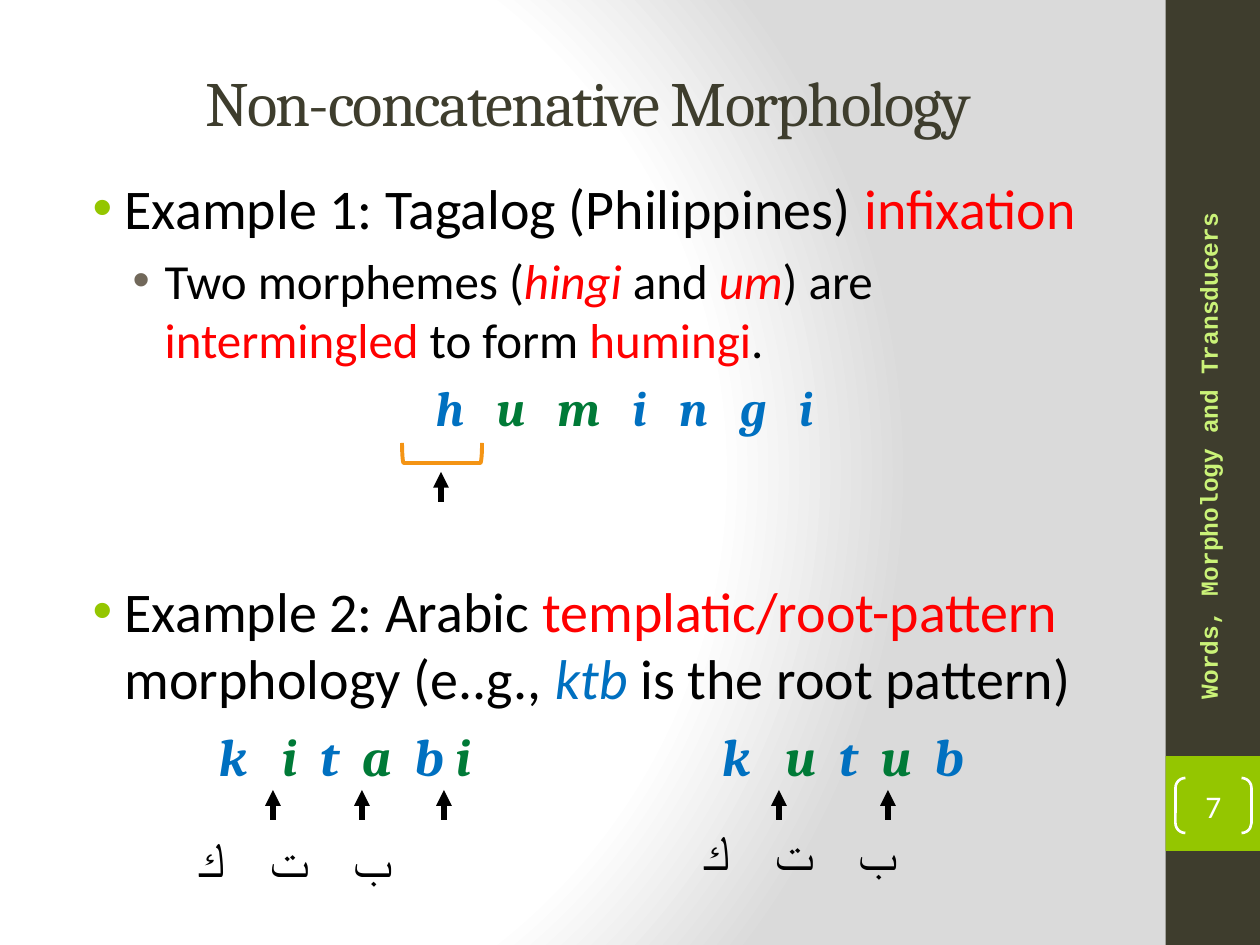
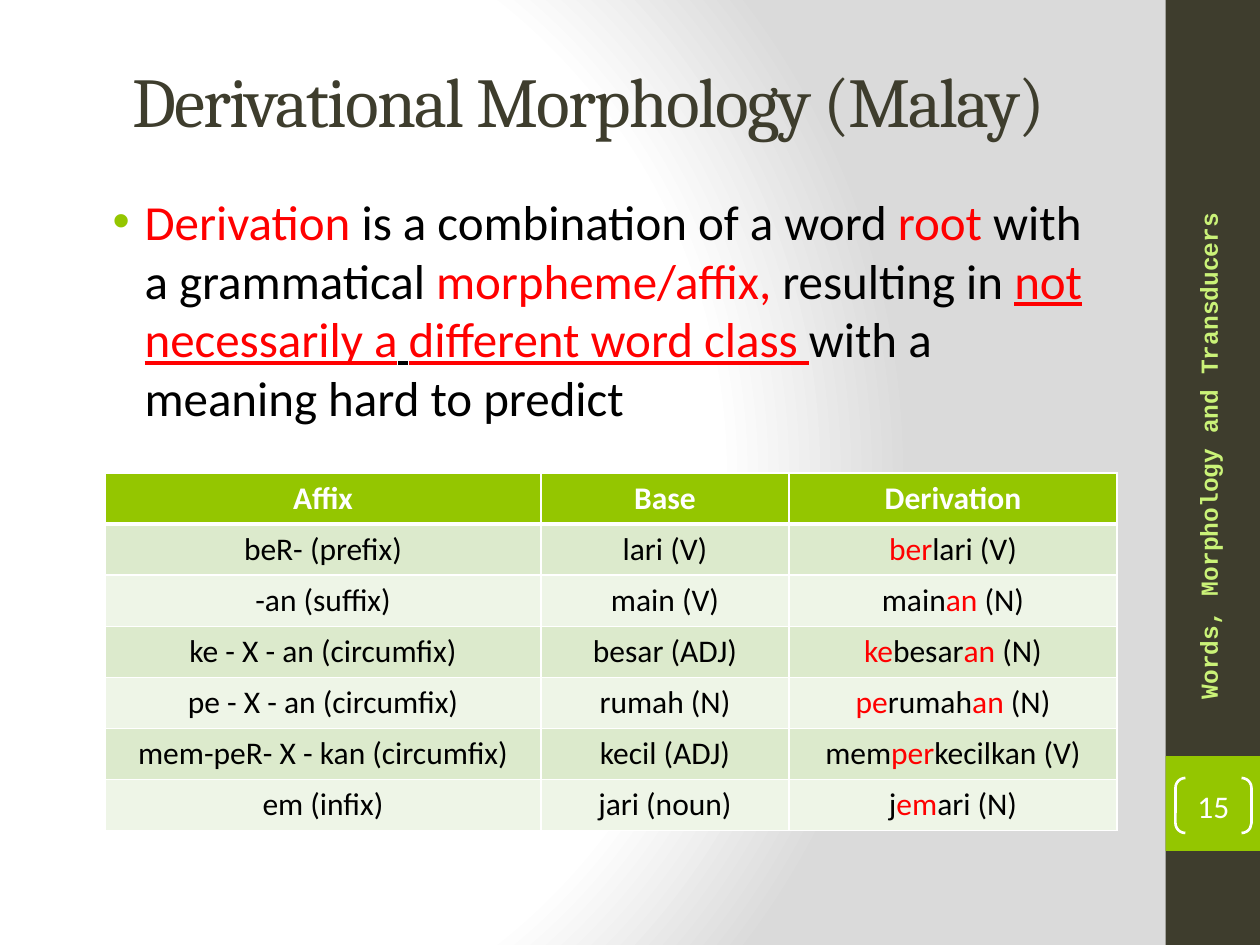
import pptx
import pptx.util
import pptx.dml.color
import pptx.enum.shapes
import pptx.enum.text
import pptx.oxml
import pptx.oxml.ns

RGB = pptx.dml.color.RGBColor
SHAPE = pptx.enum.shapes.MSO_SHAPE
ALIGN = pptx.enum.text.PP_ALIGN
ANCHOR = pptx.enum.text.MSO_ANCHOR
Pt = pptx.util.Pt
NS = pptx.oxml.ns.nsdecls("a")

DARK = RGB(0x3E, 0x3D, 0x2D)
LIME = RGB(0x94, 0xC6, 0x00)
PALE = RGB(0xCA, 0xF2, 0x78)
TAUPE = RGB(0x71, 0x68, 0x5A)
AMBER = RGB(0xF4, 0x94, 0x14)
WHITE = RGB(0xFF, 0xFF, 0xFF)
GREY = RGB(0xDA, 0xDA, 0xDA)
BLACK = RGB(0, 0, 0)
RED = RGB(0xFF, 0, 0)
BLUE = RGB(0, 0x70, 0xC0)
GREEN = RGB(0, 0x7A, 0x37)
ODD = RGB(0xDC, 0xEA, 0xCC)
EVEN = RGB(0xEE, 0xF5, 0xE7)

HEAD = {"name": "Cambria"}
BODY = {"name": "Calibri"}
LETTER = {"name": "Cambria", "bold": True, "italic": True}
SIDE = {"name": "Courier New", "bold": True}
ITALIC = {"italic": True}
LINED = {"underline": True}


def px(n):
    return round(n * 914400 / 126)


def apply(item, form):
    for key, value in form.items():
        setattr(item, key, value)


def place(shape, box):
    apply(shape, dict(zip(("left", "top", "width", "height"), map(px, box))))


def write(par, size, form, runs, gap=None):
    """Add runs of (text, colour, extra format); gap is letter spacing in points."""
    for text, colour, *extra in runs:
        run = par.add_run()
        run.text = text
        apply(run.font, {"size": Pt(size), **form, **(extra[0] if extra else {})})
        run.font.color.rgb = colour
        if gap:
            run.font._element.set("spc", str(round(gap * 100)))


def add_xml(parent, text):
    parent.append(pptx.oxml.parse_xml(text))


def solid(colour):
    return f'<a:solidFill><a:srgbClr val="{colour}"/></a:solidFill>'


# Paragraphs of the body
def indent(par, left, hang, before):
    par.space_before = Pt(before)
    props = par._p.get_or_add_pPr()
    props.set("marL", str(px(left)))
    props.set("indent", str(px(-hang)))
    return props


def bullet(par, size, runs, level=0, before=None):
    par.level = level
    left, colour = ((48, LIME), (88, TAUPE))[level]
    props = indent(par, left, 32, before or size * 0.2)
    add_xml(props, f'<a:buClr {NS}><a:srgbClr val="{colour}"/></a:buClr>')
    add_xml(props, f'<a:buFont {NS} typeface="Arial"/>')
    add_xml(props, f'<a:buChar {NS} char="•"/>')
    write(par, size, BODY, runs)


def letters(par, size, left, before, word, gaps):
    """Set (letter, colour) pairs, each followed by a space widened to gap spaces."""
    props = indent(par, left, 0, before)
    add_xml(props, f"<a:buNone {NS}/>")
    for (sign, colour), gap in zip(word, gaps):
        write(par, size, LETTER, [(sign, colour)])
        if gap:
            write(par, size, LETTER, [(" ", colour)], (gap - 1) * 0.22 * size)


# Parts of a slide
def shape(slide, kind, box, fill=None, line=None, width=1):
    item = slide.shapes.add_shape(kind, *map(px, box))
    item.shadow.inherit = False
    if fill is None:
        item.fill.background()
    else:
        item.fill.solid()
        item.fill.fore_color.rgb = fill
    if line is None:
        item.line.fill.background()
    else:
        item.line.color.rgb = line
        item.line.width = Pt(width)
    return item


def label(slide, box):
    item = slide.shapes.add_textbox(*map(px, box))
    item.text_frame.word_wrap = True
    return item


def arrow(slide, x, top, length=30):
    item = slide.shapes.add_connector(
        pptx.enum.shapes.MSO_CONNECTOR.STRAIGHT, px(x), px(top + length), px(x), px(top))
    item.line.color.rgb = BLACK
    item.line.width = Pt(3)
    add_xml(item.line._get_or_add_ln(), f'<a:tailEnd {NS} type="triangle"/>')
    add_xml(item._element.spPr, f"<a:effectLst {NS}/>")


def roots(slide, box):
    """Arabic root letters, held apart by wide spaces."""
    par = label(slide, box).text_frame.paragraphs[0]
    for i, sign in enumerate("بتك"):
        if i:
            write(par, 28, BODY, [(" ", BLACK)], 19)
        write(par, 28, BODY, [(sign, BLACK)])
    for run in par.runs:
        add_xml(run.font._element, f'<a:cs {NS} typeface="Calibri"/>')


def backdrop(master):
    """Shared background: a round gradient from white to grey."""
    master.background.fill.gradient()
    grad = master.element.find(".//" + pptx.oxml.ns.qn("a:gradFill"))
    for child in list(grad):
        grad.remove(child)
    stops = "".join(f'<a:gs pos="{pos * 1000}"><a:srgbClr val="{colour}"/></a:gs>'
                    for pos, colour in ((0, WHITE), (75, WHITE), (100, GREY)))
    add_xml(grad, f"<a:gsLst {NS}>{stops}</a:gsLst>")
    add_xml(grad, f'<a:path {NS} path="circle"><a:fillToRect l="20000" t="50000"'
                  ' r="100000" b="50000"/></a:path>')


def sidebar(slide, box, number):
    x, y, wide, high = box
    shape(slide, SHAPE.RECTANGLE, box, DARK)
    shape(slide, SHAPE.RECTANGLE, (x, y + 756, wide, 95), LIME)
    # Page number in brackets
    item = shape(slide, SHAPE.DOUBLE_BRACKET, (x + 10, y + 778, 76, 55), None, WHITE, 1.5)
    item.adjustments[0] = 0.18
    frame = item.text_frame
    apply(frame, {"margin_left": 0, "margin_right": 0, "margin_top": 0,
                  "margin_bottom": 0, "vertical_anchor": ANCHOR.MIDDLE})
    frame.paragraphs[0].alignment = ALIGN.CENTER
    write(frame.paragraphs[0], 18, BODY, [(str(number), WHITE)])
    # Upright course name
    item = label(slide, (x - 248, y + 431, 581, 50))
    item.rotation = 270
    item.text_frame.vertical_anchor = ANCHOR.MIDDLE
    par = item.text_frame.paragraphs[0]
    par.alignment = ALIGN.CENTER
    write(par, 14, SIDE, [("Words, Morphology and Transducers", PALE)])


def page(deck, number, title, size, box, body):
    """Start a slide with title and sidebar; return it with its body frame."""
    slide = deck.slides.add_slide(deck.slide_layouts[1])
    sidebar(slide, (1165.5, 0, 94.5, 945), number)
    for item, where in zip(slide.placeholders, (box, body)):
        place(item, where)
        apply(item.text_frame, {"word_wrap": True,
                                "auto_size": pptx.enum.text.MSO_AUTO_SIZE.NONE})
    head = slide.shapes.title.text_frame
    head.vertical_anchor = ANCHOR.MIDDLE
    head.paragraphs[0].alignment = ALIGN.CENTER
    write(head.paragraphs[0], size, HEAD, [(title, DARK)], -1)
    frame = slide.placeholders[1].text_frame
    frame.vertical_anchor = ANCHOR.TOP
    return slide, frame


# Table
def border(cell, side, width):
    add_xml(cell._tc.get_or_add_tcPr(),
            f'<a:{side} {NS} w="{Pt(width)}">{solid(WHITE)}</a:{side}>')


def grid(slide, box, widths, rows):
    table = slide.shapes.add_table(len(rows), len(widths), *map(px, box)).table
    for col, wide in zip(table.columns, widths):
        col.width = px(wide)
    for r, row in enumerate(rows):
        table.rows[r].height = px(box[3] / len(rows))
        for c, text in enumerate(row):
            cell = table.cell(r, c)
            for side in ("lnL", "lnR", "lnT", "lnB"):
                thick = (r, side) in ((0, "lnB"), (1, "lnT"))
                border(cell, side, 3 if thick else 1)
            cell.fill.solid()
            cell.fill.fore_color.rgb = LIME if r == 0 else ODD if r % 2 else EVEN
            par = cell.text_frame.paragraphs[0]
            par.alignment = ALIGN.CENTER
            ink = WHITE if r == 0 else BLACK
            # Parts between bars are the affixes, in red
            runs = [(part, RED if i % 2 else ink)
                    for i, part in enumerate(text.split("|")) if part]
            write(par, 18, {**BODY, "bold": r == 0}, runs)


def infix(deck):
    slide, frame = page(deck, 7, "Non-concatenative Morphology", 36,
                        (63, 38, 1050, 127), (64, 167, 1050, 732))
    bullet(frame.paragraphs[0], 32, [
        ("Example 1: Tagalog (Philippines) ", BLACK), ("infixation ", RED)])
    bullet(frame.add_paragraph(), 28, [
        ("Two morphemes (", BLACK), ("hingi ", RED, ITALIC), ("and ", BLACK),
        ("um", RED, ITALIC), (") are ", BLACK), ("intermingled", RED),
        (" to form ", BLACK), ("humingi", RED), (". ", BLACK)], level=1)
    inks = (BLUE, GREEN, GREEN, BLUE, BLUE, BLUE, BLUE)
    letters(frame.add_paragraph(), 28, 359, 5.6, zip("humingi", inks),
            (3, 3, 3, 3, 3, 3, 0))
    bullet(frame.add_paragraph(), 32, [
        ("Example 2: Arabic ", BLACK), ("templatic/root-pattern ", RED),
        ("morphology (e..g., ", BLACK), ("ktb", BLUE, ITALIC),
        (" is the root pattern)", BLACK)], before=80)
    word = [(sign, BLUE if sign in "ktb" else GREEN) for sign in "kitabikutub"]
    letters(frame.add_paragraph(), 30, 142, 7.5, word,
            (3, 2, 2, 2, 1, 21.7, 3, 2, 2, 2, 0))
    # Bracket and arrows
    item = shape(slide, SHAPE.RIGHT_BRACKET, (432, 413, 20, 80), None, AMBER, 2.25)
    item.rotation = 90
    arrow(slide, 441, 472)
    for x in (273, 362, 444, 779, 888):
        arrow(slide, x, 790)
    roots(slide, (185, 822, 307, 72))
    roots(slide, (690, 815, 307, 72))


def derive(deck):
    slide, frame = page(deck, 15, "Derivational Morphology (Malay)", 40,
                        (64, 45, 1050, 110), (84, 185, 1012, 251))
    bullet(frame.paragraphs[0], 28, [
        ("Derivation ", RED), ("is a combination of a word ", BLACK), ("root ", RED),
        ("with a grammatical ", BLACK), ("morpheme/affix, ", RED),
        ("resulting in ", BLACK), ("not necessarily a", RED, LINED),
        (" ", BLACK, LINED), ("different word class ", RED, LINED),
        ("with a meaning hard to predict", BLACK)])
    grid(slide, (105, 473, 1012, 358), (436, 248, 328), (
        ("Affix", "Base", "Derivation"),
        ("beR- (prefix)", "lari (V)", "|ber|lari (V)"),
        ("-an (suffix)", "main (V)", "main|an| (N)"),
        ("ke - X - an (circumfix)", "besar (ADJ)", "|ke|besar|an| (N)"),
        ("pe - X - an (circumfix)", "rumah (N)", "|pe|rumah|an| (N)"),
        ("mem-peR- X - kan (circumfix)", "kecil (ADJ)", "mem|per|kecilkan (V)"),
        ("em (infix)", "jari (noun)", "j|em|ari (N)")))


deck = pptx.Presentation()
deck.slide_width, deck.slide_height = px(1260), px(945)
backdrop(deck.slide_master)
infix(deck)
derive(deck)
deck.save("out.pptx")
